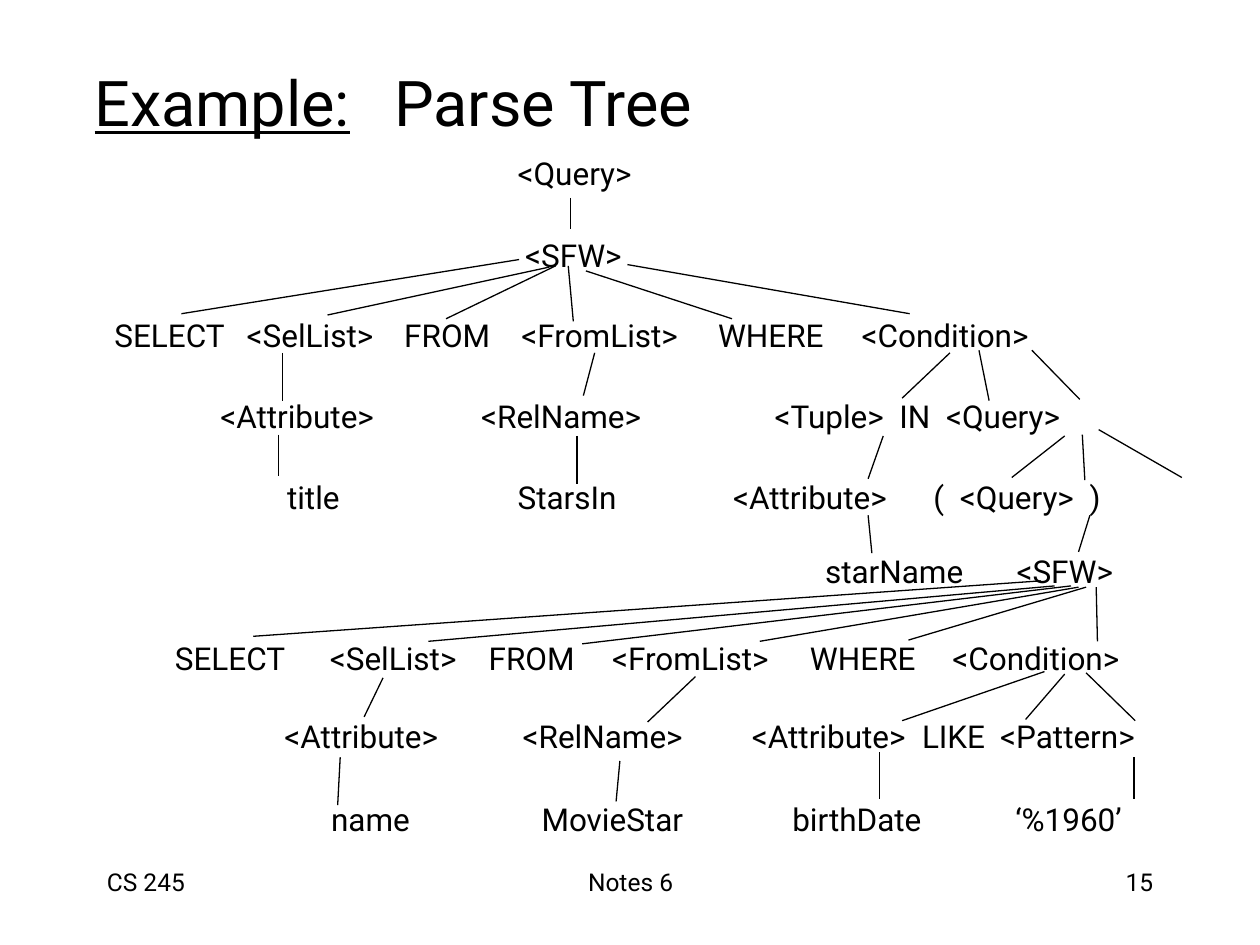
from dataclasses import dataclass
from typing import NamedTuple

from lxml import etree
from pptx import Presentation, util as u
from pptx.dml.color import RGBColor
from pptx.enum import shapes, text
from pptx.oxml.ns import qn

CELL = u.Inches(0.1)
INSET = 1
COLS, ROWS = 100, 75


@dataclass(frozen=True)
class Theme:
    font: str = "Roboto"
    ink: RGBColor = RGBColor(0, 0, 0)
    title: int = 36
    node: int = 18
    footer: int = 14
    line: float = 0.75


class TreeRow(NamedTuple):
    top: float
    right: float
    labels: str
    cols: tuple


class Edge(NamedTuple):
    x1: float
    y1: float
    x2: float
    y2: float


class Footer(NamedTuple):
    words: str
    left: float
    width: float
    align: text.PP_ALIGN


THEME = Theme()
TREE = [
    TreeRow(11.7, 51.8, "<Query>", (41.1,)),
    TreeRow(18.2, 50.5, "<SFW>", (41.7,)),
    TreeRow(24.6, 84.2, "SELECT|<SelList>|FROM|<FromList>|WHERE|<Condition>",
            (9.1, 19.6, 32.1, 41.4, 57, 68.4)),
    TreeRow(31, 90.3, "<Attribute>|<RelName>|<Tuple>|IN|<Query>",
            (17.5, 38.2, 61.5, 71.4, 75.1)),
    TreeRow(37.4, 92.7, "title|StarsIn|<Attribute>|(|<Query>|)",
            (22.8, 41.1, 58.2, 74.1, 76.2, 86.5)),
    TreeRow(43.3, 90.5, "starName|<SFW>", (65.5, 80.7)),
    TreeRow(50.2, 92.9, "SELECT|<SelList>|FROM|<FromList>|WHERE|<Condition>",
            (13.9, 26.2, 38.8, 48.6, 64.3, 75.6)),
    TreeRow(56.4, 96, "<Attribute>|<RelName>|<Attribute>|LIKE|<Pattern>",
            (22.6, 41.5, 59.7, 73.2, 79.4)),
    TreeRow(63, 93.6, "name|MovieStar|birthDate|‘%1960’",
            (26.3, 43, 62.9, 80.6)),
]
EDGES = [Edge(*e) for e in [
    (45.3, 15.7, 45.3, 18.2),
    (41.2, 20.6, 14.4, 24.9), (43.6, 21.2, 26, 25), (44.1, 21.1, 35.4, 25.3),
    (45.1, 21.1, 45.5, 25.5), (46.5, 21.5, 58.1, 25.3), (49.8, 21, 72.2, 24.9),
    (22.4, 28, 22.4, 31.8), (47.2, 28, 46.3, 31.4), (75.4, 28, 71.6, 31.6),
    (77.7, 27.8, 78.5, 31.8), (81.9, 27.8, 85.7, 31.7),
    (22.1, 34.5, 22.1, 37.8), (45.8, 34.6, 45.8, 38.4), (70.1, 34.6, 68.9, 38),
    (84.5, 34.6, 80.3, 37.9), (85.9, 34.5, 86.1, 38.1), (87.2, 34.1, 93.8, 37.9),
    (68.9, 40.9, 69.2, 43.9), (86.5, 40.9, 85.6, 43.8),
    (82.6, 46.1, 20.1, 50.5), (83.7, 46.5, 34, 50.9), (85, 46.5, 46.2, 51.1),
    (85.6, 46.6, 60.3, 50.9), (86.2, 46.6, 72.1, 50.8), (87, 46.6, 87.1, 50.9),
    (30.4, 53.8, 28.9, 56.9), (55.2, 53.7, 51.4, 57.3), (82.9, 53.3, 71.6, 57.2),
    (84.5, 53.5, 81.4, 57.1), (86.2, 53.4, 90.1, 57.2),
    (27, 60.1, 26.8, 63.9), (49.2, 60.4, 48.9, 63.6), (69.8, 59.7, 69.8, 63.4),
    (90, 60.1, 90, 63.4),
]]
FOOTERS = [
    Footer("Notes 6", 34.2, 31.7, text.PP_ALIGN.CENTER),
    Footer("15", 71.7, 20.8, text.PP_ALIGN.RIGHT),
    Footer("CS 245", 7.5, 20.8, text.PP_ALIGN.LEFT),
]


def grid(*cells: float) -> list:
    return [u.Emu(round(c * CELL)) for c in cells]


def apply(target, values: dict) -> None:
    for name, value in values.items():
        setattr(target, name, value)


def add_tabs(p, stops: list) -> None:
    if not stops:
        return
    tabs = etree.SubElement(p._p.get_or_add_pPr(), qn("a:tabLst"))
    for stop in stops:
        etree.SubElement(tabs, qn("a:tab"), pos=str(grid(stop)[0]), algn="l")


def add_run(p, words: str, size: int, underline: bool = False) -> None:
    r = p.add_run()
    r.text = words
    apply(r.font, {"name": THEME.font, "size": u.Pt(size), "underline": underline})
    r.font.color.rgb = THEME.ink


def add_label(s, box: tuple, words: str, size: int, align, anchor, stops=()) -> None:
    tf = s.shapes.add_textbox(*grid(*box)).text_frame
    apply(tf, {"word_wrap": True, "vertical_anchor": anchor})
    p = tf.paragraphs[0]
    add_tabs(p, stops)
    p.alignment = align
    add_run(p, words, size)


def add_title(s) -> None:
    sp = s.shapes.title
    apply(sp, dict(zip(("left", "top", "width", "height"), grid(6.5, 3.9, 85, 8.2))))
    apply(sp.text_frame, {"vertical_anchor": text.MSO_ANCHOR.MIDDLE,
                          "auto_size": text.MSO_AUTO_SIZE.NONE})
    p = sp.text_frame.paragraphs[0]
    add_tabs(p, [23.8])
    p.alignment = text.PP_ALIGN.LEFT
    add_run(p, "Example:", THEME.title, True)
    add_run(p, "\tParse Tree", THEME.title)


def add_row(s, row: TreeRow) -> None:
    start = row.cols[0]
    left = start - INSET
    add_label(s, (left, row.top, row.right - left, 4), row.labels.replace("|", "\t"),
              THEME.node, text.PP_ALIGN.LEFT, text.MSO_ANCHOR.MIDDLE,
              [col - start for col in row.cols[1:]])


def add_edge(s, edge: Edge) -> None:
    c = s.shapes.add_connector(shapes.MSO_CONNECTOR.STRAIGHT, *grid(*edge))
    c.line.width = u.Pt(THEME.line)
    c.line.color.rgb = THEME.ink
    etree.SubElement(c._element.spPr, qn("a:effectLst"))


def main() -> None:
    prs = Presentation()
    prs.slide_width, prs.slide_height = grid(COLS, ROWS)
    s = prs.slides.add_slide(prs.slide_layouts[5])
    add_title(s)
    for row in TREE:
        add_row(s, row)
    for edge in EDGES:
        add_edge(s, edge)
    for f in FOOTERS:
        add_label(s, (f.left, 68.3, f.width, 5), f.words, THEME.footer,
                  f.align, text.MSO_ANCHOR.TOP)
    prs.save("out.pptx")


if __name__ == "__main__":
    main()
